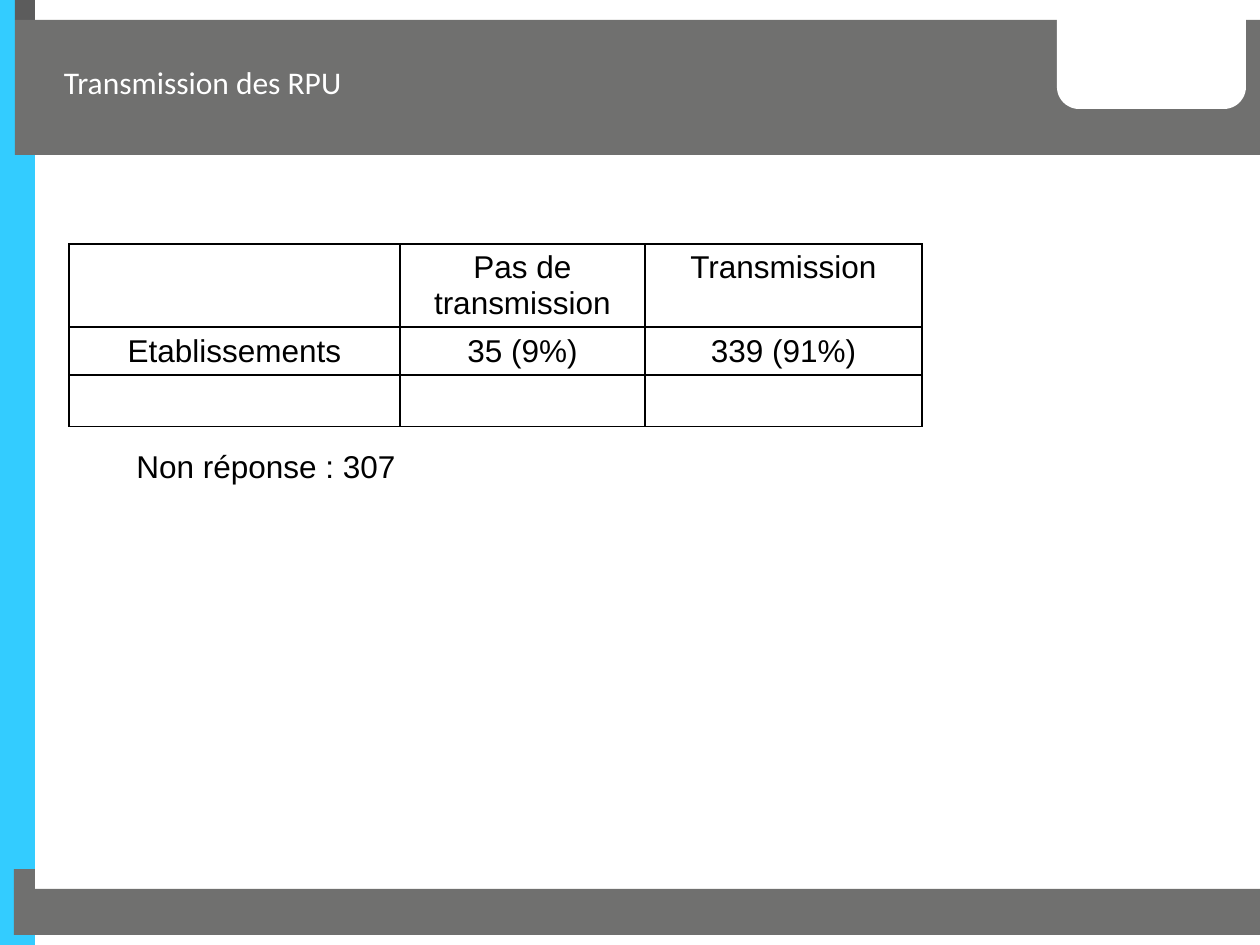
"""Build the slide on the transmission of RPU by establishments."""
from dataclasses import dataclass

from lxml.etree import SubElement
from pptx import Presentation
from pptx.dml.color import RGBColor
from pptx.enum.shapes import MSO_SHAPE
from pptx.enum.text import MSO_ANCHOR, PP_ALIGN
from pptx.oxml.ns import qn
from pptx.util import Emu, Pt

EMU_PER_PX = 914400 / 126
GREY, BLACK, WHITE = "70706F", "000000", "FFFFFF"


@dataclass(frozen=True)
class Box:
    x: int
    y: int
    w: int
    h: int

    def emu(self) -> list[Emu]:
        return [px(v) for v in (self.x, self.y, self.w, self.h)]


@dataclass(frozen=True)
class Block:
    box: Box
    fill: str
    shape: MSO_SHAPE = MSO_SHAPE.RECTANGLE


@dataclass(frozen=True)
class Label:
    box: Box
    text: str
    font: str
    color: str
    frame: dict


BLOCKS = [
    Block(Box(0, 0, 35, 945), "33CCFF"),
    Block(Box(15, 0, 20, 20), "5C5C5C"),
    Block(Box(14, 869, 21, 20), GREY),
    Block(Box(14, 889, 1246, 46), GREY),
    Block(Box(15, 20, 1245, 135), GREY),
    Block(Box(1057, -24, 189, 133), WHITE, MSO_SHAPE.ROUNDED_RECTANGLE),
]
NO_MARGINS = {f"margin_{side}": 0 for side in ("left", "top", "right", "bottom")}
LABELS = [
    Label(Box(64, 27, 963, 110), "Transmission des RPU", "Calibri", WHITE,
          NO_MARGINS | {"vertical_anchor": MSO_ANCHOR.MIDDLE}),
    Label(Box(124, 441, 407, 48), "Non réponse\u00a0: 307", "Arial", BLACK, {}),
]
TABLE_X, TABLE_Y = 69, 244
COLUMNS = [331, 245, 277]
ROWS = [83, 48, 48]
CELLS = [
    ["", "Pas de transmission", "Transmission"],
    ["Etablissements", "35 (9%)", "339 (91%)"],
    ["", "", ""],
]


def px(value: int) -> Emu:
    return Emu(round(value * EMU_PER_PX))


def rgb(color: str) -> RGBColor:
    return RGBColor.from_string(color)


def apply(target, values: dict) -> None:
    for name, value in values.items():
        setattr(target, name, value)


def write(p, text: str, font: str, color: str) -> None:
    r = p.add_run()
    r.text = text
    apply(r.font, {"name": font, "size": Pt(18)})
    r.font.color.rgb = rgb(color)


def draw_block(s, block: Block) -> None:
    sp = s.shapes.add_shape(block.shape, *block.box.emu())
    sp.shadow.inherit = False
    sp.fill.solid()
    sp.fill.fore_color.rgb = rgb(block.fill)
    sp.line.fill.background()


def draw_label(s, label: Label) -> None:
    tf = s.shapes.add_textbox(*label.box.emu()).text_frame
    apply(tf, {"word_wrap": True} | label.frame)
    write(tf.paragraphs[0], label.text, label.font, label.color)


def add_borders(cell) -> None:
    tc_pr = cell._tc.get_or_add_tcPr()
    for i, side in enumerate(("lnL", "lnR", "lnT", "lnB")):
        ln = SubElement(tc_pr, qn(f"a:{side}"), w=str(Pt(1)))
        fill = SubElement(ln, qn("a:solidFill"))
        SubElement(fill, qn("a:srgbClr"), val=BLACK)
        tc_pr.insert(i, ln)


def draw_table(s) -> None:
    box = Box(TABLE_X, TABLE_Y, sum(COLUMNS), sum(ROWS))
    table = s.shapes.add_table(len(ROWS), len(COLUMNS), *box.emu()).table
    apply(table, {"first_row": False, "horz_banding": False})
    for column, width in zip(table.columns, COLUMNS):
        column.width = px(width)
    for row, height, texts in zip(table.rows, ROWS, CELLS):
        row.height = px(height)
        for cell, text in zip(row.cells, texts):
            cell.fill.background()
            add_borders(cell)
            if text:
                p = cell.text_frame.paragraphs[0]
                p.alignment = PP_ALIGN.CENTER
                write(p, text, "Arial", BLACK)


def main() -> None:
    prs = Presentation()
    apply(prs, {"slide_width": px(1260), "slide_height": px(945)})
    s = prs.slides.add_slide(prs.slide_layouts[6])
    for block in BLOCKS:
        draw_block(s, block)
    draw_table(s)
    for label in LABELS:
        draw_label(s, label)
    prs.save("out.pptx")


main()
